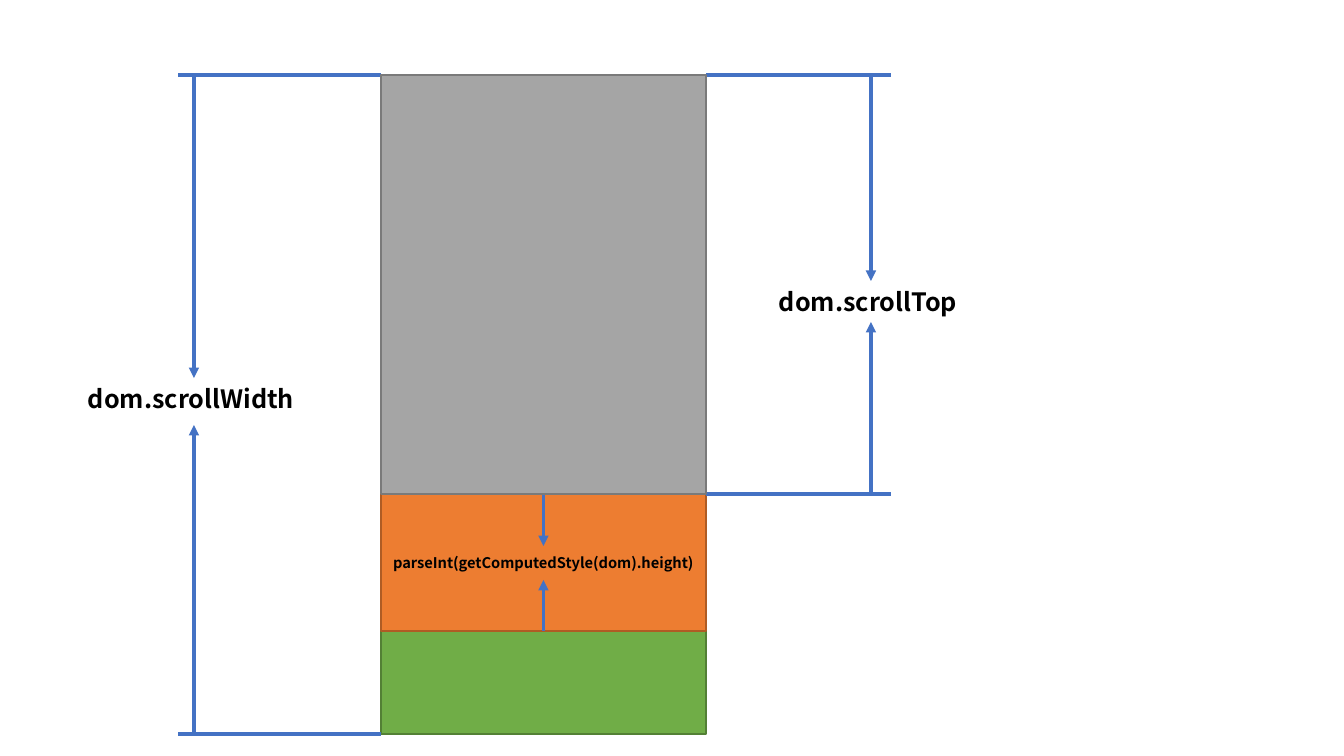
from lxml.etree import SubElement
from pptx import Presentation
from pptx.dml.color import RGBColor
from pptx.enum.shapes import MSO_CONNECTOR, MSO_SHAPE
from pptx.enum.text import MSO_ANCHOR, MSO_AUTO_SIZE, PP_ALIGN
from pptx.oxml.ns import qn
from pptx.util import Pt

SCALE = 914400 / 100.8
FONT = "Noto Sans CJK SC"
BLACK = RGBColor(0x00, 0x00, 0x00)
BLUE = RGBColor(0x44, 0x72, 0xC4)
GRAY = RGBColor(0xA5, 0xA5, 0xA5)
GRAY_EDGE = RGBColor(0x7A, 0x7A, 0x7A)
ORANGE = RGBColor(0xED, 0x7D, 0x31)
ORANGE_EDGE = RGBColor(0xAF, 0x5C, 0x24)
GREEN = RGBColor(0x70, 0xAD, 0x47)
GREEN_EDGE = RGBColor(0x53, 0x80, 0x35)

LEFT, RIGHT = 381, 706
CENTER = (LEFT + RIGHT) / 2
TOP, VIEW_TOP, VIEW_BOTTOM, BOTTOM = 75, 494, 631, 734
WIDTH_X, TOP_X = 194, 871
TICK_LEFT, TICK_RIGHT = 178, 891


def emu(*pixels):
    return [round(pixel * SCALE) for pixel in pixels]


def add_bar(top, bottom, fill, edge):
    shape = slide.shapes.add_shape(
        MSO_SHAPE.RECTANGLE, *emu(LEFT, top, RIGHT - LEFT, bottom - top))
    shape.shadow.inherit = False
    shape.fill.solid()
    shape.fill.fore_color.rgb = fill
    shape.line.color.rgb = edge
    shape.line.width = Pt(1)
    return shape


presentation = Presentation()
presentation.slide_width, presentation.slide_height = emu(1344, 756)
slide = presentation.slides.add_slide(presentation.slide_layouts[6])

add_bar(TOP, BOTTOM, GREEN, GREEN_EDGE)
view = add_bar(VIEW_TOP, VIEW_BOTTOM, ORANGE, ORANGE_EDGE)
view.text_frame.text = "parseInt(getComputedStyle(dom).height)"
view.text_frame.word_wrap = True
view.text_frame.vertical_anchor = MSO_ANCHOR.MIDDLE
view_paragraph = view.text_frame.paragraphs[0]
view_paragraph.alignment = PP_ALIGN.CENTER
paragraphs = [(view_paragraph, 10.5)]

for text, left, top, width in [
    ("dom.scrollTop", 769, 281, 204),
    ("dom.scrollWidth", 78, 378, 234),
]:
    label = slide.shapes.add_textbox(*emu(left, top, width, 40))
    label.text_frame.word_wrap = True
    label.text_frame.auto_size = MSO_AUTO_SIZE.SHAPE_TO_FIT_TEXT
    label.text_frame.text = text
    paragraphs.append((label.text_frame.paragraphs[0], 18))

for paragraph, size in paragraphs:
    paragraph.font.name = FONT
    paragraph.font.size = Pt(size)
    paragraph.font.bold = True
    paragraph.font.color.rgb = BLACK

ticks = [
    (LEFT, TOP, TICK_LEFT, TOP),
    (LEFT, BOTTOM, TICK_LEFT, BOTTOM),
    (TICK_RIGHT, TOP, RIGHT, TOP),
    (TICK_RIGHT, VIEW_TOP, RIGHT, VIEW_TOP),
]
arrows = [
    (x, start, x, end)
    for x, start, end in [
        (WIDTH_X, TOP, 378),
        (WIDTH_X, BOTTOM, 425),
        (TOP_X, TOP, 281),
        (TOP_X, VIEW_TOP, 322),
        (CENTER, VIEW_TOP, 546),
        (CENTER, VIEW_BOTTOM, 580),
    ]
]
for ends in ticks + arrows:
    connector = slide.shapes.add_connector(MSO_CONNECTOR.STRAIGHT, *emu(*ends))
    connector.line.color.rgb = BLUE
    connector.line.width = Pt(2.5)
    if ends in arrows:
        SubElement(connector.line._get_or_add_ln(), qn("a:tailEnd"), type="triangle")
    SubElement(connector._element.spPr, qn("a:effectLst"))

add_bar(TOP, VIEW_TOP, GRAY, GRAY_EDGE)

presentation.save("out.pptx")
